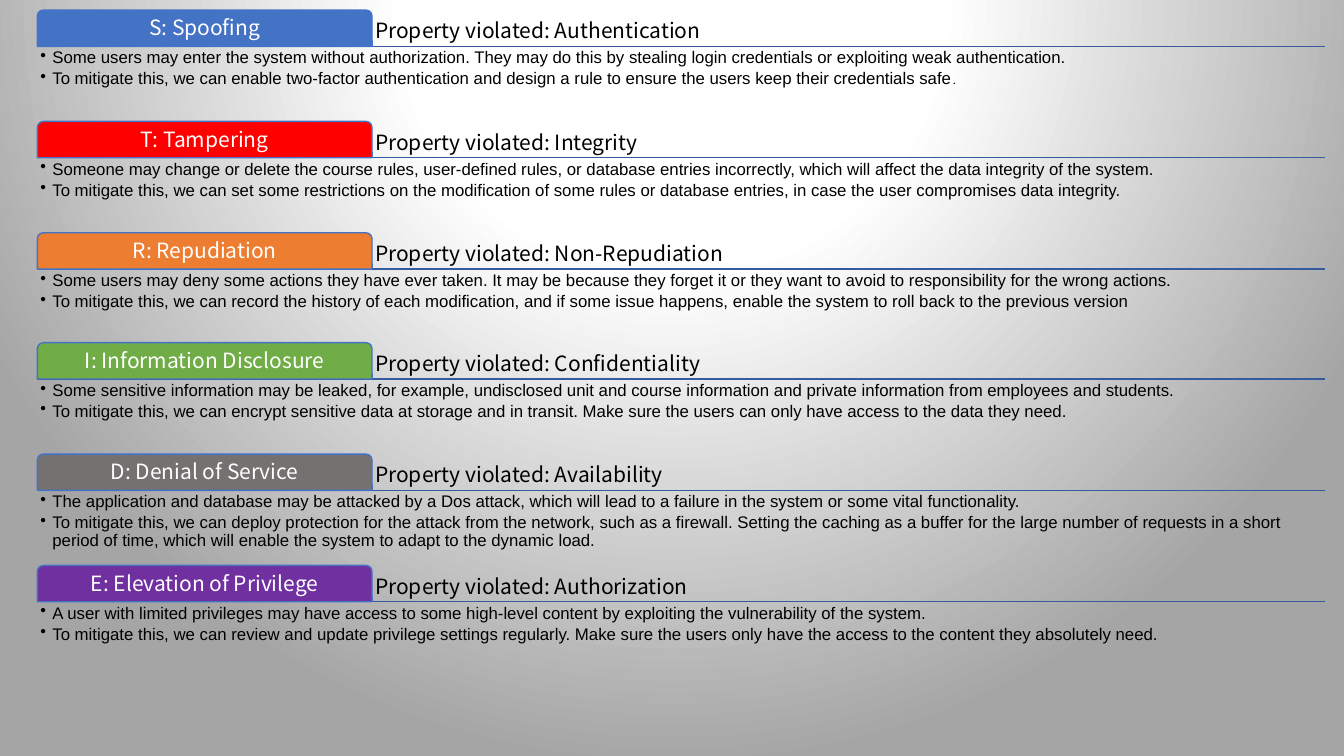
from lxml import etree
from pptx import Presentation
from pptx.dml.color import RGBColor
from pptx.enum import shapes, text
from pptx.oxml import parse_xml
from pptx.oxml.ns import nsdecls, qn
from pptx.util import Inches, Pt

HEADING_FONT, BODY_FONT = "Noto Sans CJK SC", "Arial"
BLUE, RULE_BLUE, BLACK, WHITE = "4472C4", "365B9D", "000000", "FFFFFF"
LEFT, WIDTH, TAB_WIDTH = 0.37, 12.77, 3.32
HEAD_HEIGHT, BODY_HEIGHT = 0.36, 0.73
TOP, PITCH, GROUP_PITCH, GROUP_SIZE = 0.1, 1.105, 3.3, 3

THREATS = [
    ("S: Spoofing", "Authentication", BLUE, [
        "Some users may enter the system without authorization. They may do this by stealing login credentials or exploiting weak authentication.",
        "To mitigate this, we can enable two-factor authentication and design a rule to ensure the users keep their credentials safe"]),
    ("T: Tampering", "Integrity", "FF0000", [
        "Someone may change or delete the course rules, user-defined rules, or database entries incorrectly, which will affect the data integrity of the system.",
        "To mitigate this, we can set some restrictions on the modification of some rules or database entries, in case the user compromises data integrity."]),
    ("R: Repudiation", "Non-Repudiation", "ED7D31", [
        "Some users may deny some actions they have ever taken. It may be because they forget it or they want to avoid to responsibility for the wrong actions.",
        "To mitigate this, we can record the history of each modification, and if some issue happens, enable the system to roll back to the previous version"]),
    ("I: Information Disclosure", "Confidentiality", "70AD47", [
        "Some sensitive information may be leaked, for example, undisclosed unit and course information and private information from employees and students.",
        "To mitigate this, we can encrypt sensitive data at storage and in transit. Make sure the users can only have access to the data they need."]),
    ("D: Denial of Service", "Availability", "767171", [
        "The application and database may be attacked by a Dos attack, which will lead to a failure in the system or some vital functionality.",
        "To mitigate this, we can deploy protection for the attack from the network, such as a firewall. Setting the caching as a buffer for the large number of requests in a short period of time, which will enable the system to adapt to the dynamic load."]),
    ("E: Elevation of Privilege", "Authorization", "7030A0", [
        "A user with limited privileges may have access to some high-level content by exploiting the vulnerability of the system.",
        "To mitigate this, we can review and update privilege settings regularly. Make sure the users only have the access to the content they absolutely need."]),
]


def rgb(color):
    return RGBColor.from_string(color)


def set_background(s):
    """Radial gradient centred above the slide, white fading to grey."""
    s._element.cSld.insert(0, parse_xml(
        f'<p:bg {nsdecls("p", "a")}><p:bgPr><a:gradFill rotWithShape="1"><a:gsLst>'
        '<a:gs pos="0"><a:srgbClr val="FFFFFF"/></a:gs>'
        '<a:gs pos="35000"><a:srgbClr val="FFFFFF"/></a:gs>'
        '<a:gs pos="100000"><a:srgbClr val="A5A5A5"/></a:gs></a:gsLst>'
        '<a:path path="circle">'
        '<a:fillToRect l="50000" t="-80000" r="50000" b="180000"/></a:path>'
        '</a:gradFill><a:effectLst/></p:bgPr></p:bg>'))


def style_run(r, font, size, color):
    r.font.name, r.font.size = font, Pt(size)
    r.font.color.rgb = rgb(color)


def fill_text(sp, content, font, size, color, anchor, align, space_after):
    tf = sp.text_frame
    tf.word_wrap = True
    tf.vertical_anchor = anchor
    tf.margin_left = tf.margin_right = Inches(0.03)
    tf.margin_top = tf.margin_bottom = Inches(0.03)
    tf.text = content
    for p in tf.paragraphs:
        p.alignment = align
        p.line_spacing = 0.9
        p.space_after = Pt(space_after)
        for r in p.runs:
            style_run(r, font, size, color)
    return tf


def add_rule(s, y):
    line = s.shapes.add_connector(shapes.MSO_CONNECTOR.STRAIGHT, Inches(LEFT),
                                  Inches(y), Inches(LEFT + WIDTH), Inches(y))
    line.line.color.rgb = rgb(RULE_BLUE)
    line.line.width = Pt(1)
    etree.SubElement(line._element.spPr, qn("a:effectLst"))


def add_tab(s, y, label, color):
    sp = s.shapes.add_shape(shapes.MSO_SHAPE.ROUND_2_SAME_RECTANGLE, Inches(LEFT),
                            Inches(y), Inches(TAB_WIDTH), Inches(HEAD_HEIGHT))
    sp.shadow.inherit = False
    sp.fill.solid()
    sp.fill.fore_color.rgb = rgb(color)
    sp.line.color.rgb = rgb(BLUE)
    sp.line.width = Pt(1)
    fill_text(sp, label, HEADING_FONT, 15, WHITE, text.MSO_ANCHOR.MIDDLE,
              text.PP_ALIGN.CENTER, 0)


def add_property(s, y, name):
    sp = s.shapes.add_textbox(Inches(LEFT + TAB_WIDTH), Inches(y),
                              Inches(WIDTH - TAB_WIDTH), Inches(HEAD_HEIGHT))
    fill_text(sp, f"Property violated: {name}", HEADING_FONT, 15, BLACK,
              text.MSO_ANCHOR.BOTTOM, text.PP_ALIGN.LEFT, 0)


def add_bullets(s, y, points):
    sp = s.shapes.add_textbox(Inches(LEFT), Inches(y), Inches(WIDTH), Inches(BODY_HEIGHT))
    tf = fill_text(sp, "\n".join(points), BODY_FONT, 12, BLACK,
                   text.MSO_ANCHOR.TOP, text.PP_ALIGN.LEFT, 2)
    for p in tf.paragraphs:
        p.level = 1
        pPr = p._p.get_or_add_pPr()
        pPr.set("marL", str(Inches(0.12)))
        pPr.set("indent", str(-Inches(0.12)))
        etree.SubElement(pPr, qn("a:buChar")).set("char", "•")
    return tf


def main():
    prs = Presentation()
    prs.slide_width, prs.slide_height = Inches(13.33), Inches(7.5)
    s = prs.slides.add_slide(prs.slide_layouts[6])
    set_background(s)
    bodies = []
    for i, (label, prop, color, points) in enumerate(THREATS):
        group, row = divmod(i, GROUP_SIZE)
        y = TOP + group * GROUP_PITCH + row * PITCH
        add_rule(s, y + HEAD_HEIGHT)
        add_property(s, y, prop)
        add_tab(s, y, label, color)
        bodies.append(add_bullets(s, y + HEAD_HEIGHT, points))
    # The first threat closes with a small full stop in the heading font.
    stop = bodies[0].paragraphs[-1].add_run()
    stop.text = "."
    style_run(stop, HEADING_FONT, 8, BLACK)
    prs.save("out.pptx")


if __name__ == "__main__":
    main()
